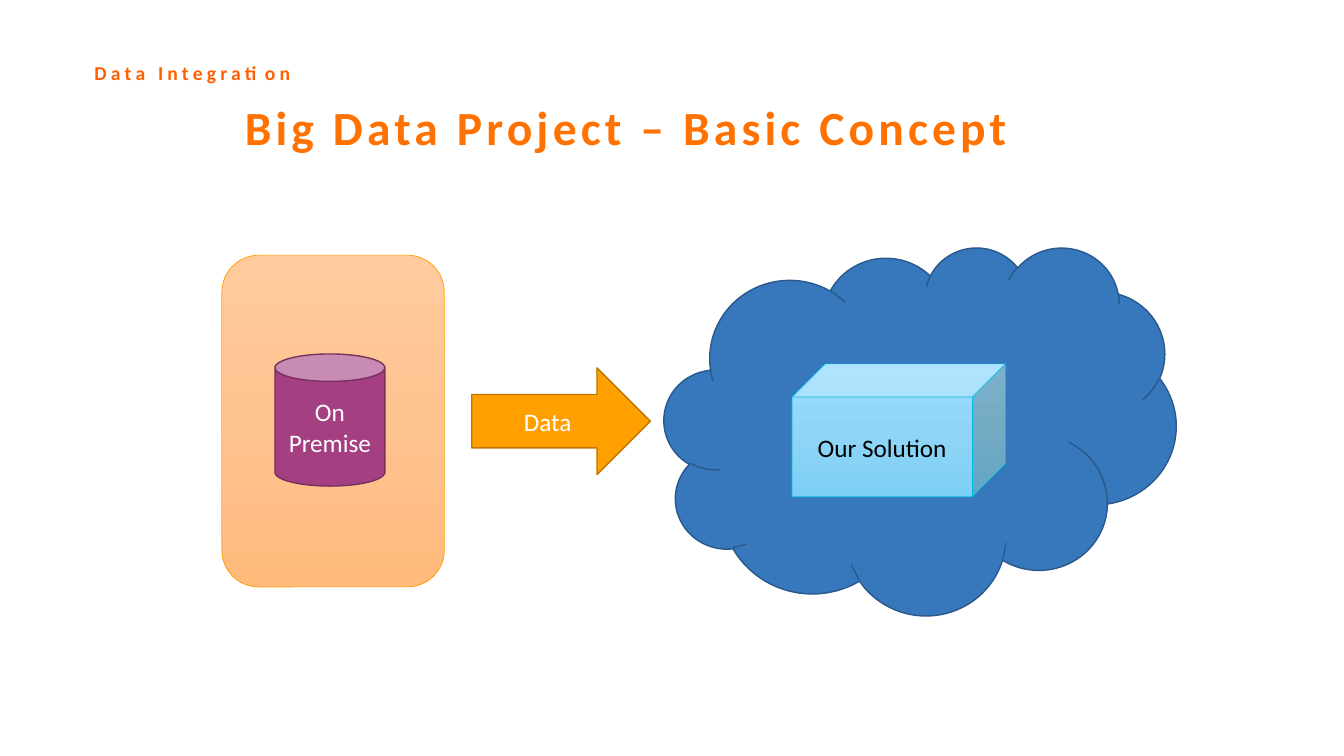
from dataclasses import dataclass
from copy import deepcopy
from typing import Optional

import pptx
import pptx.dml.color
import pptx.enum.shapes
import pptx.enum.text
import pptx.oxml.ns
import pptx.util

Cm = pptx.util.Cm
Pt = pptx.util.Pt
RGBColor = pptx.dml.color.RGBColor
MSO_SHAPE = pptx.enum.shapes.MSO_SHAPE

FONT = "Calibri"
WHITE = RGBColor(0xFF, 0xFF, 0xFF)
BLACK = RGBColor(0x00, 0x00, 0x00)
CAPTION_ORANGE = RGBColor(0xFF, 0x5F, 0x00)
TITLE_ORANGE = RGBColor(0xFF, 0x71, 0x00)
AMBER = RGBColor(0xFF, 0xA0, 0x00)
DARK_AMBER = RGBColor(0xBD, 0x76, 0x00)
BLUE = RGBColor(0x37, 0x77, 0xBC)
DARK_BLUE = RGBColor(0x29, 0x58, 0x8B)
PURPLE = RGBColor(0xA4, 0x40, 0x82)
DARK_PURPLE = RGBColor(0x79, 0x2F, 0x60)
CYAN = RGBColor(0x00, 0xB9, 0xE7)
PEACH_GRADIENT = (RGBColor(0xFF, 0xCB, 0x9E), RGBColor(0xFF, 0xC3, 0x90), RGBColor(0xFF, 0xBA, 0x7C))
SKY_GRADIENT = (RGBColor(0x9D, 0xDE, 0xFE), RGBColor(0x90, 0xD5, 0xF6), RGBColor(0x7C, 0xD0, 0xF5))


@dataclass
class Box:
    """Position and size in centimetres."""
    left: float
    top: float
    width: float
    height: float

    def lengths(self) -> tuple:
        return Cm(self.left), Cm(self.top), Cm(self.width), Cm(self.height)


@dataclass
class Heading:
    text: str
    box: Box
    size: float
    color: RGBColor
    line_spacing: float = 1.0
    space_before: float = 0


@dataclass
class Block:
    kind: MSO_SHAPE
    box: Box
    fill: tuple  # one colour, or three gradient colours from top to bottom
    line: RGBColor
    line_width: float
    text: Optional[str] = None
    text_color: RGBColor = WHITE


HEADINGS = [
    Heading("Data Integration", Box(2.13, 1.4, 20.4, 0.86), 14, CAPTION_ORANGE),
    Heading("Big Data Project – Basic Concept", Box(5.92, 2.51, 21.64, 2.01), 34, TITLE_ORANGE, 0.9, 10),
]

BLOCKS = [
    Block(MSO_SHAPE.ROUNDED_RECTANGLE, Box(5.59, 6.43, 5.61, 8.36), PEACH_GRADIENT, AMBER, 0.5),
    Block(MSO_SHAPE.CLOUD, Box(16.74, 6.22, 12.9, 9.27), (BLUE,), DARK_BLUE, 1),
    Block(MSO_SHAPE.CAN, Box(6.93, 8.92, 2.77, 3.33), (PURPLE,), DARK_PURPLE, 1, "On Premise"),
    Block(MSO_SHAPE.CUBE, Box(19.96, 9.17, 5.38, 3.35), SKY_GRADIENT, CYAN, 0.5, "Our Solution", BLACK),
    Block(MSO_SHAPE.RIGHT_ARROW, Box(11.89, 9.27, 4.5, 2.69), (AMBER,), DARK_AMBER, 1, "Data"),
]


def format_run(run, size: float, color: RGBColor) -> None:
    run.font.name = FONT
    run.font.size = Pt(size)
    run.font.color.rgb = color


def draw_heading(slide, heading: Heading) -> None:
    text_frame = slide.shapes.add_textbox(*heading.box.lengths()).text_frame
    text_frame.word_wrap = True
    text_frame.text = heading.text
    paragraph = text_frame.paragraphs[0]
    paragraph.line_spacing = heading.line_spacing
    paragraph.space_before = Pt(heading.space_before)
    run = paragraph.runs[0]
    format_run(run, heading.size, heading.color)
    run.font.bold = True
    # Letter spacing of 3 points
    run._r.get_or_add_rPr().set("spc", "300")


def fill_shape(shape, colors: tuple) -> None:
    if len(colors) == 1:
        shape.fill.solid()
        shape.fill.fore_color.rgb = colors[0]
        return
    shape.fill.gradient()
    shape.fill.gradient_angle = 270
    # The default gradient has two stops; add a middle one
    stop_list = shape.element.spPr.find(".//" + pptx.oxml.ns.qn("a:gsLst"))
    stop_list.insert(1, deepcopy(stop_list[0]))
    for index, (stop, color) in enumerate(zip(shape.fill.gradient_stops, colors)):
        stop.position = index / (len(colors) - 1)
        stop.color.rgb = color


def draw_block(slide, block: Block) -> None:
    shape = slide.shapes.add_shape(block.kind, *block.box.lengths())
    shape.shadow.inherit = False
    fill_shape(shape, block.fill)
    shape.line.color.rgb = block.line
    shape.line.width = Pt(block.line_width)
    if block.text:
        text_frame = shape.text_frame
        text_frame.word_wrap = True
        text_frame.vertical_anchor = pptx.enum.text.MSO_ANCHOR.MIDDLE
        text_frame.text = block.text
        paragraph = text_frame.paragraphs[0]
        paragraph.alignment = pptx.enum.text.PP_ALIGN.CENTER
        format_run(paragraph.runs[0], 18, block.text_color)


def main() -> None:
    presentation = pptx.Presentation()
    presentation.slide_width = Cm(33.87)
    presentation.slide_height = Cm(19.05)
    slide = presentation.slides.add_slide(presentation.slide_layouts[6])

    # Caption and title
    for heading in HEADINGS:
        draw_heading(slide, heading)

    # Data flow from the premises to the cloud
    for block in BLOCKS:
        draw_block(slide, block)

    presentation.save("out.pptx")


if __name__ == "__main__":
    main()
